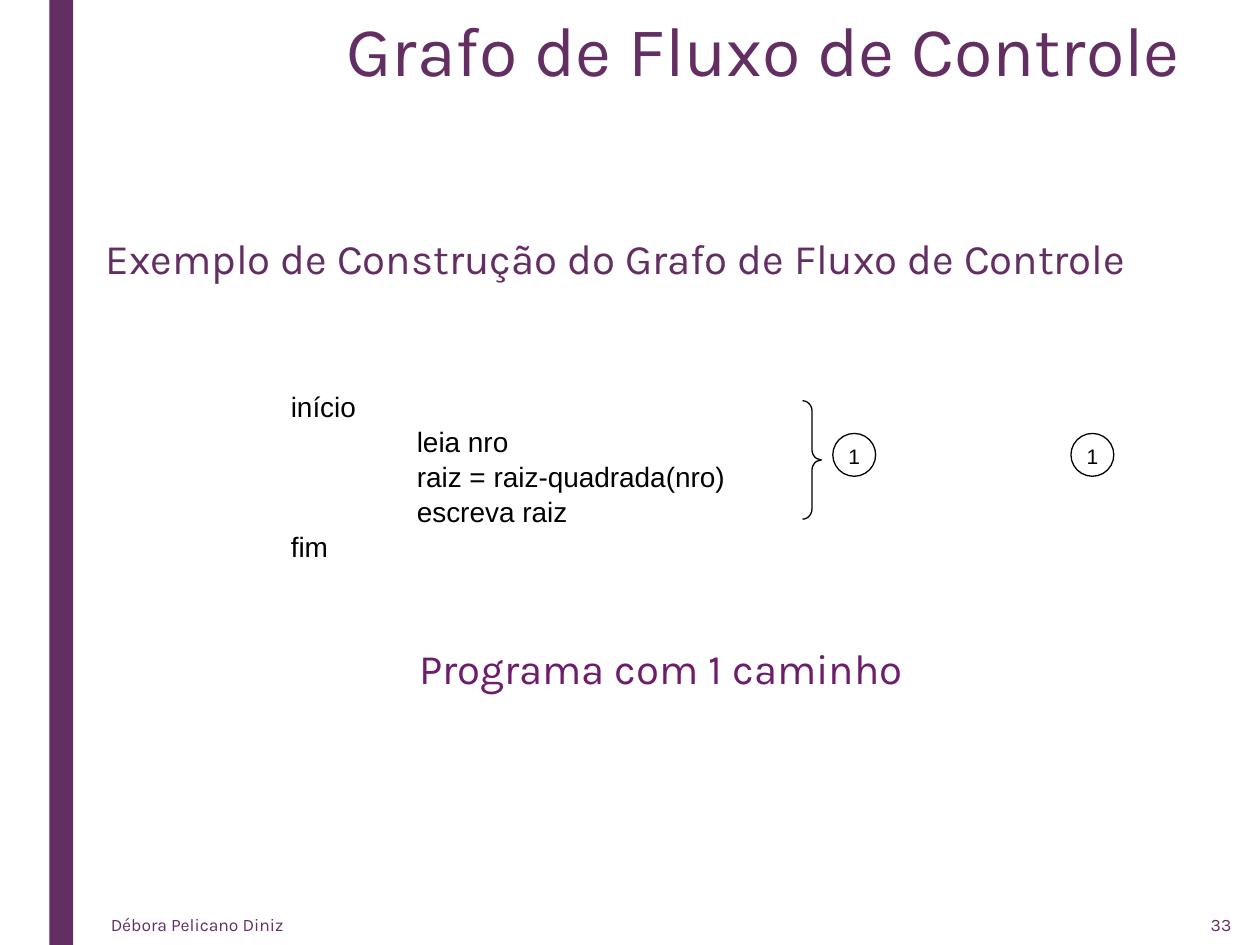
from pptx import Presentation
from pptx.dml.color import RGBColor
from pptx.enum import shapes, text
from pptx.util import Pt

PURPLE, VIOLET, BLACK, WHITE = "632E62", "6D1D6B", "000000", "FFFFFF"
LEFT, CENTER, RIGHT = text.PP_ALIGN.LEFT, text.PP_ALIGN.CENTER, text.PP_ALIGN.RIGHT
TOP, MIDDLE = text.MSO_ANCHOR.TOP, text.MSO_ANCHOR.MIDDLE

TITLE = ("Grafo de Fluxo de Controle", (170.6, 5.8, 531.4, 116.6))
LABELS = [
    ("Exemplo de Construção do Grafo de Fluxo de Controle",
     (53.3, 131.8, 648.7, 36), 24, PURPLE, LEFT, TOP, 0.94),
    ("Programa com 1 caminho",
     (53.3, 366, 648.7, 36), 24, VIOLET, CENTER, TOP, 0.94),
    ("Débora Pelicano Diniz",
     (56.2, 517, 370.8, 23), 10, PURPLE, LEFT, MIDDLE, 1.0),
    ("33", (671.8, 517, 38.9, 23), 10, PURPLE, RIGHT, MIDDLE, 1.0),
]
CODE = [(0, "início"), (1, "leia nro"), (1, "raiz = raiz-quadrada(nro)"),
        (1, "escreva raiz"), (0, "fim")]
CODE_AREA = (159.1, 218.2, 360, 104.4)
CODE_INDENT = 72
NODE_LEFTS = (475.9, 612)
NODE_TOP, NODE_SIZE = 247.7, 24.5


def color(value):
    return RGBColor.from_string(value)


def points(area):
    return [Pt(length) for length in area]


def style(para, font, size, fill, align=LEFT, spacing=1.0):
    para.alignment = align
    para.line_spacing = spacing
    para.space_before = Pt(0)
    para.font.name = font
    para.font.size = Pt(size)
    para.font.color.rgb = color(fill)


def add_outline(slide, kind, area):
    shape = slide.shapes.add_shape(kind, *points(area))
    shape.shadow.inherit = False
    shape.line.color.rgb = color(BLACK)
    shape.line.width = Pt(0.75)
    return shape


def add_box(slide, area, anchor=TOP):
    box = slide.shapes.add_textbox(*points(area))
    box.text_frame.word_wrap = True
    box.text_frame.vertical_anchor = anchor
    return box.text_frame


def main():
    deck = Presentation()
    deck.slide_width, deck.slide_height = Pt(720), Pt(540)
    slide = deck.slides.add_slide(deck.slide_layouts[5])

    bar = slide.shapes.add_shape(shapes.MSO_SHAPE.RECTANGLE, *points((28.2, 0, 13.6, 540)))
    bar.shadow.inherit = False
    bar.fill.solid()
    bar.fill.fore_color.rgb = color(PURPLE)
    bar.line.fill.background()

    title = slide.shapes.title
    title.left, title.top, title.width, title.height = points(TITLE[1])
    title.text_frame.text = TITLE[0]
    title.text_frame.vertical_anchor = TOP
    style(title.text_frame.paragraphs[0], "Karla", 40, PURPLE, CENTER, 0.89)

    for words, area, size, fill, align, anchor, spacing in LABELS:
        frame = add_box(slide, area, anchor)
        frame.text = words
        style(frame.paragraphs[0], "Karla", size, fill, align, spacing)

    frame = add_box(slide, CODE_AREA)
    frame.text = "\n".join(line for level, line in CODE)
    for para, (level, line) in zip(frame.paragraphs, CODE):
        para._p.get_or_add_pPr().set("marL", str(Pt(CODE_INDENT * level)))
        style(para, "Arial", 16, BLACK, text.PP_ALIGN.JUSTIFY, 1.04)

    brace = add_outline(slide, shapes.MSO_SHAPE.RIGHT_BRACE, (458.6, 229, 10.8, 67.7))
    brace.adjustments[0] = 0.54
    brace.fill.background()

    for left in NODE_LEFTS:
        node = add_outline(slide, shapes.MSO_SHAPE.OVAL, (left, NODE_TOP, NODE_SIZE, NODE_SIZE))
        node.fill.solid()
        node.fill.fore_color.rgb = color(WHITE)
        frame = node.text_frame
        frame.margin_left = frame.margin_right = frame.margin_bottom = 0
        frame.margin_top = Pt(2)
        frame.vertical_anchor = MIDDLE
        frame.text = "1"
        style(frame.paragraphs[0], "Arial", 12, BLACK, CENTER)

    deck.save("out.pptx")


if __name__ == "__main__":
    main()
